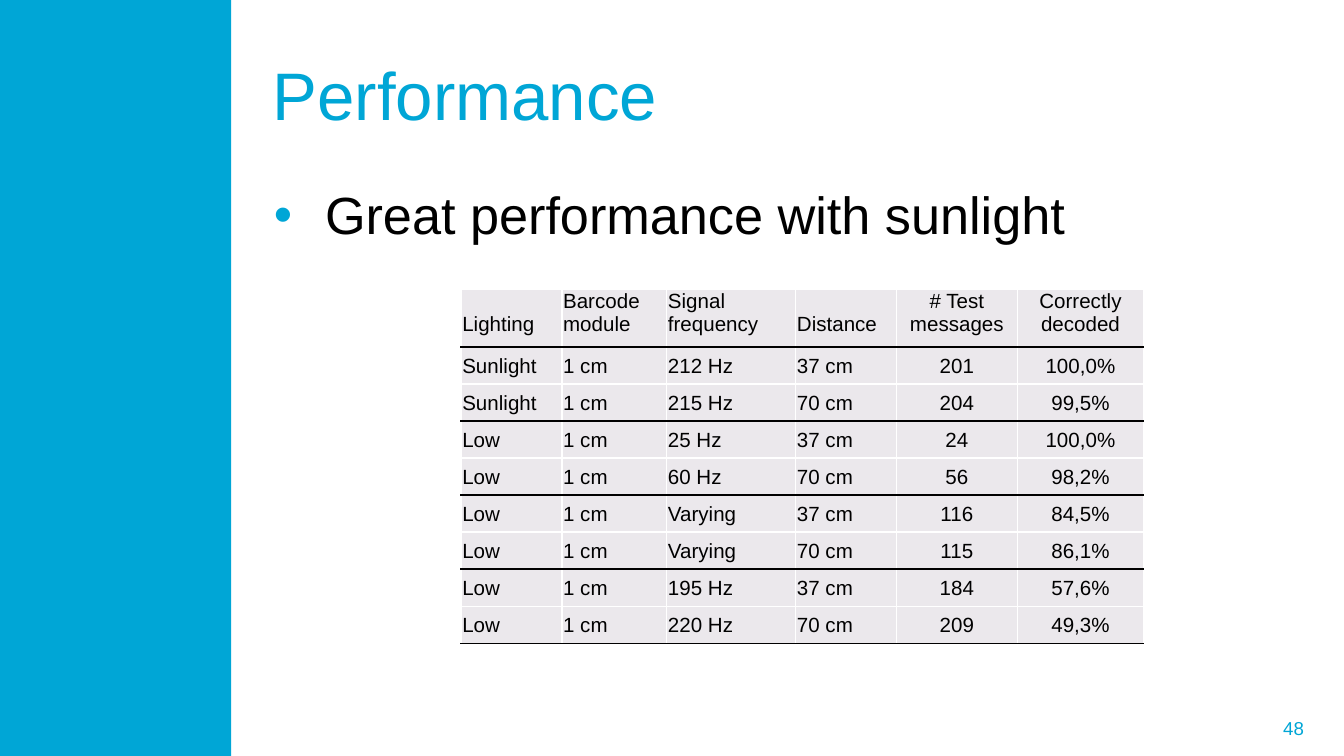
from dataclasses import dataclass

from lxml import etree
from pptx import Presentation
from pptx.dml.color import RGBColor
from pptx.enum.shapes import MSO_SHAPE
from pptx.enum.text import MSO_ANCHOR, PP_ALIGN
from pptx.oxml.ns import qn
from pptx.slide import Slide
from pptx.util import Inches, Pt

RECTANGLE = MSO_SHAPE.RECTANGLE
TOP, MIDDLE = MSO_ANCHOR.TOP, MSO_ANCHOR.MIDDLE
LEFT, CENTER, RIGHT = PP_ALIGN.LEFT, PP_ALIGN.CENTER, PP_ALIGN.RIGHT
CYAN = RGBColor(0x00, 0xA6, 0xD6)
BLACK = RGBColor(0x00, 0x00, 0x00)
WHITE = RGBColor(0xFF, 0xFF, 0xFF)
CELL_GRAY = RGBColor(0xEB, 0xE8, 0xEC)

SLIDE_WIDTH = 10
SLIDE_HEIGHT = SLIDE_WIDTH * 9 / 16
COLUMN_WIDTHS = [0.75, 0.78, 0.96, 0.75, 0.9, 0.94]
TABLE_HEIGHT, HEADER_HEIGHT = 2.64, 0.43
CENTERED_FROM = 4
ONE_LINE_HEADERS = ("Lighting", "Distance")
RESULTS = [
    ["Lighting", "Barcode module", "Signal frequency", "Distance", "# Test messages", "Correctly decoded"],
    ["Sunlight", "1 cm", "212 Hz", "37 cm", "201", "100,0%"],
    ["Sunlight", "1 cm", "215 Hz", "70 cm", "204", "99,5%"],
    ["Low", "1 cm", "25 Hz", "37 cm", "24", "100,0%"],
    ["Low", "1 cm", "60 Hz", "70 cm", "56", "98,2%"],
    ["Low", "1 cm", "Varying", "37 cm", "116", "84,5%"],
    ["Low", "1 cm", "Varying", "70 cm", "115", "86,1%"],
    ["Low", "1 cm", "195 Hz", "37 cm", "184", "57,6%"],
    ["Low", "1 cm", "220 Hz", "70 cm", "209", "49,3%"],
]


def write_text(frame, text, size, color=BLACK, align=LEFT, font="Arial", bullet=None):
    para = frame.paragraphs[0]
    para.alignment = align
    if bullet:
        properties = para._p.get_or_add_pPr()
        properties.set("marL", str(Inches(0.38)))
        properties.set("indent", str(-Inches(0.38)))
        bullet_color = etree.SubElement(properties, qn("a:buClr"))
        etree.SubElement(bullet_color, qn("a:srgbClr"), val=str(bullet))
        etree.SubElement(properties, qn("a:buFont"), typeface=font)
        etree.SubElement(properties, qn("a:buChar"), char="•")
    span = para.add_run()
    span.text = text
    span.font.name = font
    span.font.size = Pt(size)
    span.font.color.rgb = color


def set_border(cell, side, color):
    line = etree.SubElement(cell._tc.get_or_add_tcPr(), qn(f"a:ln{side}"), w=str(Pt(1)))
    fill = etree.SubElement(line, qn("a:solidFill"))
    etree.SubElement(fill, qn("a:srgbClr"), val=str(color))


@dataclass
class SlideBuilder:
    """Draws styled elements on the current slide."""

    page: Slide
    accent: RGBColor = CYAN
    cell_fill: RGBColor = CELL_GRAY
    cell_size: int = 11

    def panel(self, left, top, width, height):
        shape = self.page.shapes.add_shape(
            RECTANGLE, Inches(left), Inches(top), Inches(width), Inches(height))
        shape.shadow.inherit = False
        shape.fill.solid()
        shape.fill.fore_color.rgb = self.accent
        shape.line.fill.background()

    def text(self, text, left, top, width, height, anchor=MIDDLE, **style):
        box = self.page.shapes.add_textbox(
            Inches(left), Inches(top), Inches(width), Inches(height))
        frame = box.text_frame
        frame.word_wrap = True
        frame.vertical_anchor = anchor
        write_text(frame, text, **style)

    def table(self, rows, left, top):
        body_count = len(rows) - 1
        row_height = (TABLE_HEIGHT - HEADER_HEIGHT) / body_count
        table = self.page.shapes.add_table(
            len(rows), len(COLUMN_WIDTHS), Inches(left), Inches(top),
            Inches(sum(COLUMN_WIDTHS)), Inches(TABLE_HEIGHT)).table
        table.first_row = table.horz_banding = False
        for column, width in zip(table.columns, COLUMN_WIDTHS):
            column.width = Inches(width)
        for row, height in zip(table.rows, [HEADER_HEIGHT] + [row_height] * body_count):
            row.height = Inches(height)
        for row_index, values in enumerate(rows):
            for column_index, value in enumerate(values):
                self.cell(table.cell(row_index, column_index), value, row_index, column_index)

    def cell(self, cell, value, row_index, column_index):
        pair_start = row_index % 2 == 1
        set_border(cell, "L", WHITE)
        set_border(cell, "R", WHITE)
        set_border(cell, "T", BLACK if pair_start else WHITE)
        set_border(cell, "B", WHITE if pair_start else BLACK)
        cell.fill.solid()
        cell.fill.fore_color.rgb = self.cell_fill
        cell.vertical_anchor = MIDDLE if row_index else TOP
        cell.margin_left = cell.margin_right = Inches(0.01)
        cell.margin_top = Inches(0.18 if value in ONE_LINE_HEADERS else 0.01)
        cell.margin_bottom = 0
        write_text(cell.text_frame, value, self.cell_size,
                   align=CENTER if column_index >= CENTERED_FROM else LEFT)


def main():
    deck = Presentation()
    deck.slide_width, deck.slide_height = Inches(SLIDE_WIDTH), Inches(SLIDE_HEIGHT)
    builder = SlideBuilder(deck.slides.add_slide(deck.slide_layouts[6]))
    builder.text("48", 7.27, 5.27, 2.53, 0.3, size=10, color=CYAN, align=RIGHT)
    builder.panel(0, 0, 1.72, SLIDE_HEIGHT)
    builder.text("Performance", 1.93, 0.23, 7.77, 0.94, size=36, color=CYAN)
    builder.table(RESULTS, 3.43, 2.15)
    builder.text("Great performance with sunlight", 1.94, 1.31, 7.75, 3.95,
                 anchor=TOP, size=28, bullet=CYAN)
    deck.save("out.pptx")


if __name__ == "__main__":
    main()
